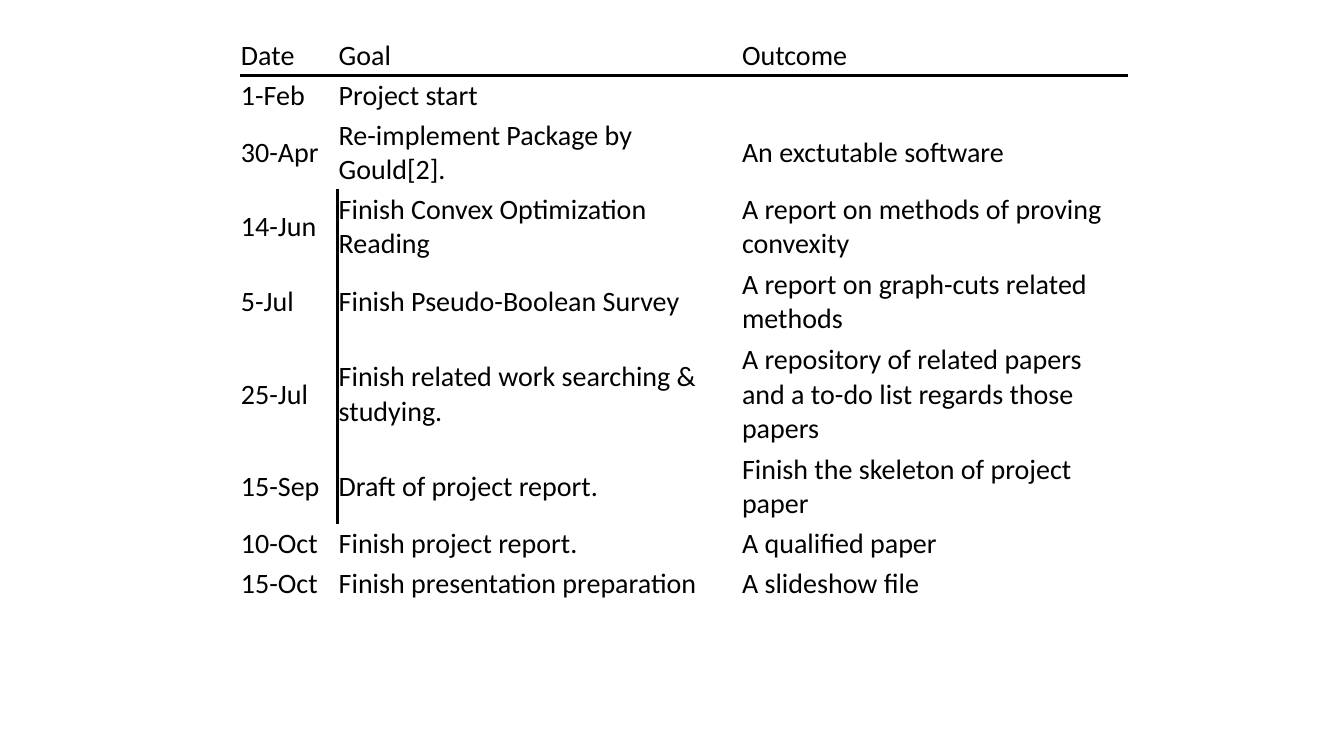
from lxml import etree
from pptx import Presentation
from pptx import util as u
from pptx.dml.color import RGBColor
from pptx.enum import text
from pptx.oxml import ns

INK = RGBColor(0, 0, 0)
FONT = "Calibri"
RULE_WIDTH = u.Pt(2.25)
COLUMN_WIDTHS = [0.97, 4, 3.84]
LINE_HEIGHTS = {1: 0.39, 2: 0.74, 3: 1.1}
RULED_DATES = {"14-Jun", "5-Jul", "25-Jul", "15-Sep"}

SCHEDULE = [
    (1, "Date ", "Goal", "Outcome"),
    (1, "1-Feb", "Project start", ""),
    (2, "30-Apr", "Re-implement Package by Gould[2].", "An exctutable software"),
    (2, "14-Jun", "Finish Convex Optimization Reading",
     "A report on methods of proving convexity"),
    (2, "5-Jul", "Finish Pseudo-Boolean Survey",
     "A report on graph-cuts related methods"),
    (3, "25-Jul", "Finish related work searching & studying.",
     "A repository of related papers and a to-do list regards those papers"),
    (2, "15-Sep", "Draft of project report. ",
     "Finish the skeleton of project paper"),
    (1, "10-Oct", "Finish project report.", "A qualified paper"),
    (1, "15-Oct", "Finish presentation preparation", "A slideshow file"),
]


def set_borders(cell, ruled_sides):
    properties = cell._tc.get_or_add_tcPr()
    for position, side in enumerate("LRTB"):
        border = etree.Element(ns.qn("a:ln" + side))
        if side in ruled_sides:
            border.set("w", str(RULE_WIDTH))
            fill = etree.SubElement(border, ns.qn("a:solidFill"))
            etree.SubElement(fill, ns.qn("a:srgbClr"), val=str(INK))
        else:
            border.set("w", "0")
            etree.SubElement(border, ns.qn("a:noFill"))
        properties.insert(position, border)


def write_cell(cell, wording):
    cell.fill.background()
    cell.vertical_anchor = text.MSO_ANCHOR.MIDDLE
    cell.margin_left = cell.margin_right = cell.margin_top = u.Inches(0.01)
    cell.margin_bottom = 0
    if wording:
        run = cell.text_frame.paragraphs[0].add_run()
        run.text = wording
        run.font.name = FONT
        run.font.size = u.Pt(20)
        run.font.color.rgb = INK


def ruled_sides(row, column, date):
    sides = {0: "B", 1: "T"}.get(row, "")
    if date in RULED_DATES:
        sides += {0: "R", 1: "L"}.get(column, "")
    return sides


def add_schedule(slide, left, top, width, height):
    schedule = slide.shapes.add_table(
        len(SCHEDULE), len(COLUMN_WIDTHS),
        u.Inches(left), u.Inches(top), u.Inches(width), u.Inches(height)).table
    schedule.first_row = False
    schedule.horz_banding = False
    column_scale = width / sum(COLUMN_WIDTHS)
    row_scale = height / sum(LINE_HEIGHTS[entry[0]] for entry in SCHEDULE)
    for column, share in zip(schedule.columns, COLUMN_WIDTHS):
        column.width = u.Inches(share * column_scale)
    for row, (lines, *wordings) in enumerate(SCHEDULE):
        schedule.rows[row].height = u.Inches(LINE_HEIGHTS[lines] * row_scale)
        for column, wording in enumerate(wordings):
            cell = schedule.cell(row, column)
            write_cell(cell, wording)
            set_borders(cell, ruled_sides(row, column, wordings[0]))


deck = Presentation()
deck.slide_width = u.Inches(13.33)
deck.slide_height = u.Inches(7.5)
timeline = deck.slides.add_slide(deck.slide_layouts[6])
add_schedule(timeline, 2.38, 0.36, 8.81, 5.62)
deck.save("out.pptx")
